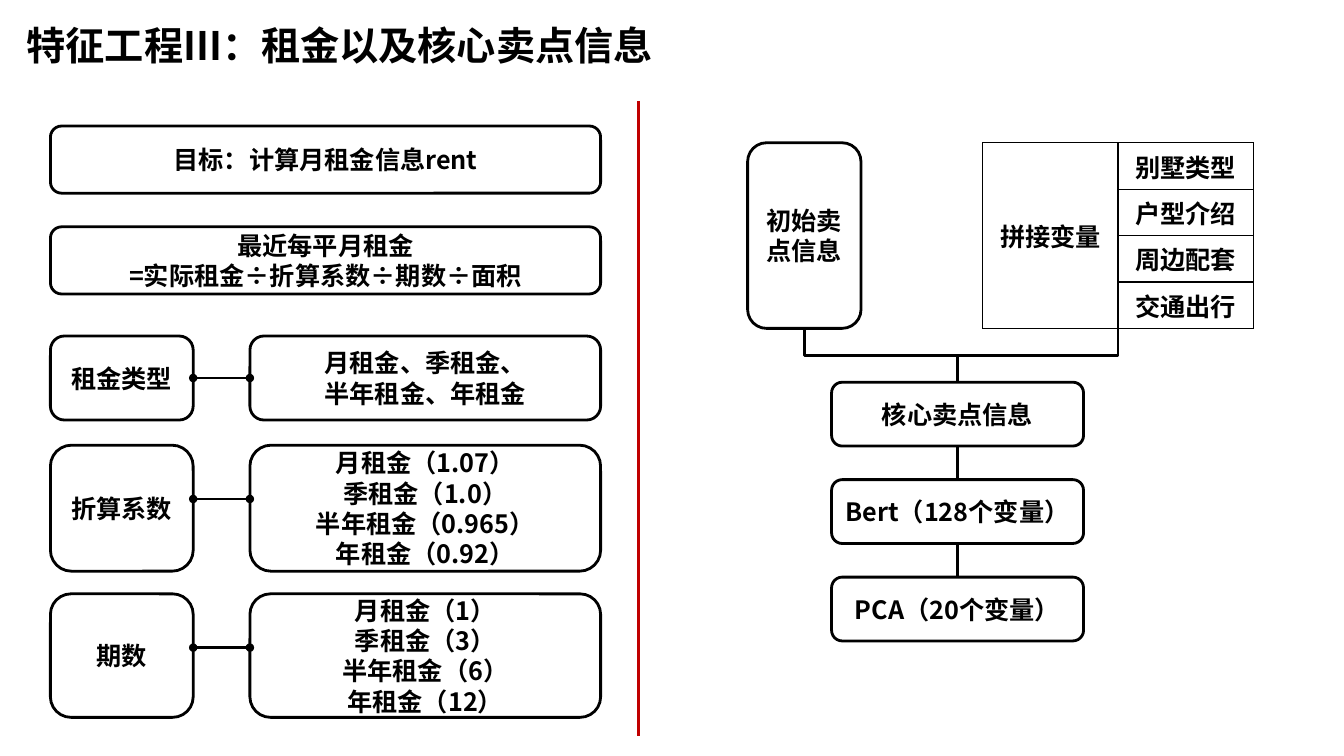
"""Build the slide on rent features and core selling points."""
from lxml.etree import SubElement
from pptx import Presentation
from pptx.dml.color import RGBColor
from pptx.enum.shapes import MSO_CONNECTOR as Connector, MSO_SHAPE as Shape
from pptx.enum.text import MSO_ANCHOR as Anchor, PP_ALIGN as Align
from pptx.oxml.ns import qn
from pptx.util import Inches, Pt

BLACK = RGBColor(0x00, 0x00, 0x00)
RED = RGBColor(0xC0, 0x00, 0x00)
FONT = "Noto Sans CJK SC"
WIDTH, HEIGHT = Inches(13.33), Inches(7.5)
COLUMNS, ROWS = 160, 90

LEFT, LABEL_WIDTH = 6, 17
DETAIL_LEFT, RIGHT = 29.75, 71.5
STACK_LEFT, STACK_TOP, STACK_WIDTH, STACK_HEIGHT, STACK_STEP = 99, 45.5, 30, 7.6, 11.6
SOURCE_TOP, SOURCE_HEIGHT = 17, 22.1
TABLE_LEFT, TABLE_COLUMN = 117, 16.1

GOALS = [(15, "目标：计算月租金信息rent"),
         (27, "最近每平月租金\n=实际租金÷折算系数÷期数÷面积")]
PAIRS = [
    (40, 10, 5, "租金类型", "月租金、季租金、\n半年租金、年租金"),
    (53, 15, 6.4, "折算系数",
     "月租金（1.07）\n季租金（1.0）\n半年租金（0.965）\n年租金（0.92）"),
    (70.7, 14.7, 6.4, "期数", "月租金（1）\n季租金（3）\n半年租金（6）\n年租金（12）"),
]
STEPS = ["核心卖点信息", "Bert（128个变量）", "PCA（20个变量）"]
VARIABLES = ["别墅类型", "户型介绍", "周边配套", "交通出行"]


def across(columns):
    """Turn grid columns into a length."""
    return round(WIDTH * columns / COLUMNS)


def down(rows):
    """Turn grid rows into a length."""
    return round(HEIGHT * rows / ROWS)


def write(text_frame, text, size=18, align=Align.CENTER):
    """Fill a text frame with bold black paragraphs."""
    text_frame.text = text
    for paragraph in text_frame.paragraphs:
        paragraph.alignment = align
        for run in paragraph.runs:
            font = run.font
            font.size, font.bold, font.name = Pt(size), True, FONT
            font.color.rgb = BLACK
            SubElement(font._element, qn("a:ea"), typeface=FONT)


def add_title(slide, text):
    """Add the slide heading."""
    box = slide.shapes.add_textbox(across(2), down(2), across(83), down(6.8))
    box.text_frame.word_wrap = False
    write(box.text_frame, text, 28, Align.LEFT)


def add_box(shapes, left, top, width, height, text):
    """Add an outlined rounded box with centred text."""
    box = shapes.add_shape(Shape.FLOWCHART_ALTERNATE_PROCESS, across(left), down(top),
                           across(width), down(height))
    box.shadow.inherit = False
    box.fill.background()
    box.line.color.rgb, box.line.width = BLACK, Pt(2)
    box.text_frame.word_wrap = True
    box.text_frame.vertical_anchor = Anchor.MIDDLE
    write(box.text_frame, text)
    return box


def style_line(connector, color=BLACK):
    """Give a connector its colour and width, without a shadow."""
    connector.line.color.rgb, connector.line.width = color, Pt(2)
    SubElement(connector._element.spPr, qn("a:effectLst"))
    return connector


def add_line(shapes, x1, y1, x2, y2, color=BLACK):
    """Add a straight line between two grid points."""
    return style_line(shapes.add_connector(
        Connector.STRAIGHT, across(x1), down(y1), across(x2), down(y2)), color)


def add_elbow(shapes, x1, y1, x2, y2):
    """Add an elbow that leaves and arrives vertically."""
    start_x, start_y, end_x, end_y = across(x1), down(y1), across(x2), down(y2)
    middle_x, middle_y = (start_x + end_x) // 2, (start_y + end_y) // 2
    half_drop, half_run = (end_y - start_y) // 2, (end_x - start_x) // 2
    elbow = style_line(shapes.add_connector(
        Connector.ELBOW, middle_x - half_drop, middle_y + half_run,
        middle_x + half_drop, middle_y - half_run))
    elbow._element.spPr.find(qn("a:xfrm")).set("rot", "5400000")


def add_pair(slide, top, height, link_offset, label, detail):
    """Add a group of a label box linked to its detail box."""
    shapes = slide.shapes.add_group_shape().shapes
    label_box = add_box(shapes, LEFT, top, LABEL_WIDTH, height, label)
    detail_box = add_box(shapes, DETAIL_LEFT, top, RIGHT - DETAIL_LEFT, height, detail)
    link_row = top + link_offset
    link = add_line(shapes, LEFT + LABEL_WIDTH, link_row, DETAIL_LEFT, link_row)
    if link_offset == height / 2:
        link.begin_connect(label_box, 3)
        link.end_connect(detail_box, 1)
    outline = link.line._get_or_add_ln()
    for end in ("a:headEnd", "a:tailEnd"):
        SubElement(outline, qn(end), type="oval")


def style_cell(cell, text):
    """Write a table cell with thin black borders and no fill."""
    write(cell.text_frame, text)
    cell.vertical_anchor = Anchor.MIDDLE
    properties = cell._tc.get_or_add_tcPr()
    for side in ("a:lnL", "a:lnR", "a:lnT", "a:lnB"):
        border = SubElement(properties, qn(side), w=str(Pt(1)))
        fill = SubElement(border, qn("a:solidFill"))
        SubElement(fill, qn("a:srgbClr"), val=str(BLACK))
    cell.fill.background()


def add_variable_table(slide):
    """Add the table of joined variables."""
    count = len(VARIABLES)
    table = slide.shapes.add_table(count, 2, across(TABLE_LEFT), down(SOURCE_TOP),
                                   across(2 * TABLE_COLUMN), down(SOURCE_HEIGHT)).table
    table.first_row = table.horz_banding = False
    for row, variable in enumerate(VARIABLES):
        style_cell(table.cell(row, 0), "" if row else "拼接变量")
        style_cell(table.cell(row, 1), variable)
    table.cell(0, 0).merge(table.cell(count - 1, 0))


def add_stack(slide):
    """Add the column of processing steps and the lines between them."""
    boxes = [add_box(slide.shapes, STACK_LEFT, STACK_TOP + index * STACK_STEP,
                     STACK_WIDTH, STACK_HEIGHT, step) for index, step in enumerate(STEPS)]
    for upper, lower in zip(boxes, boxes[1:]):
        link = add_line(slide.shapes, 0, 0, 0, 0)
        link.begin_connect(upper, 2)
        link.end_connect(lower, 0)


def main():
    """Build and save the slide."""
    presentation = Presentation()
    presentation.slide_width, presentation.slide_height = WIDTH, HEIGHT
    slide = presentation.slides.add_slide(presentation.slide_layouts[6])
    shapes = slide.shapes
    add_title(slide, "特征工程III：租金以及核心卖点信息")
    add_line(shapes, 76, 12, 76, 87.6, RED)
    for top, text in GOALS:
        add_box(shapes, LEFT, top, RIGHT - LEFT, 8, text)
    for pair in PAIRS:
        add_pair(slide, *pair)
    add_box(shapes, 89, SOURCE_TOP, 13.5, SOURCE_HEIGHT, "初始卖\n点信息".replace("\n", ""))
    add_variable_table(slide)
    add_stack(slide)
    for source in (89 + 13.5 / 2, TABLE_LEFT + TABLE_COLUMN):
        add_elbow(shapes, source, SOURCE_TOP + SOURCE_HEIGHT,
                  STACK_LEFT + STACK_WIDTH / 2, STACK_TOP)
    presentation.save("out.pptx")


if __name__ == "__main__":
    main()
